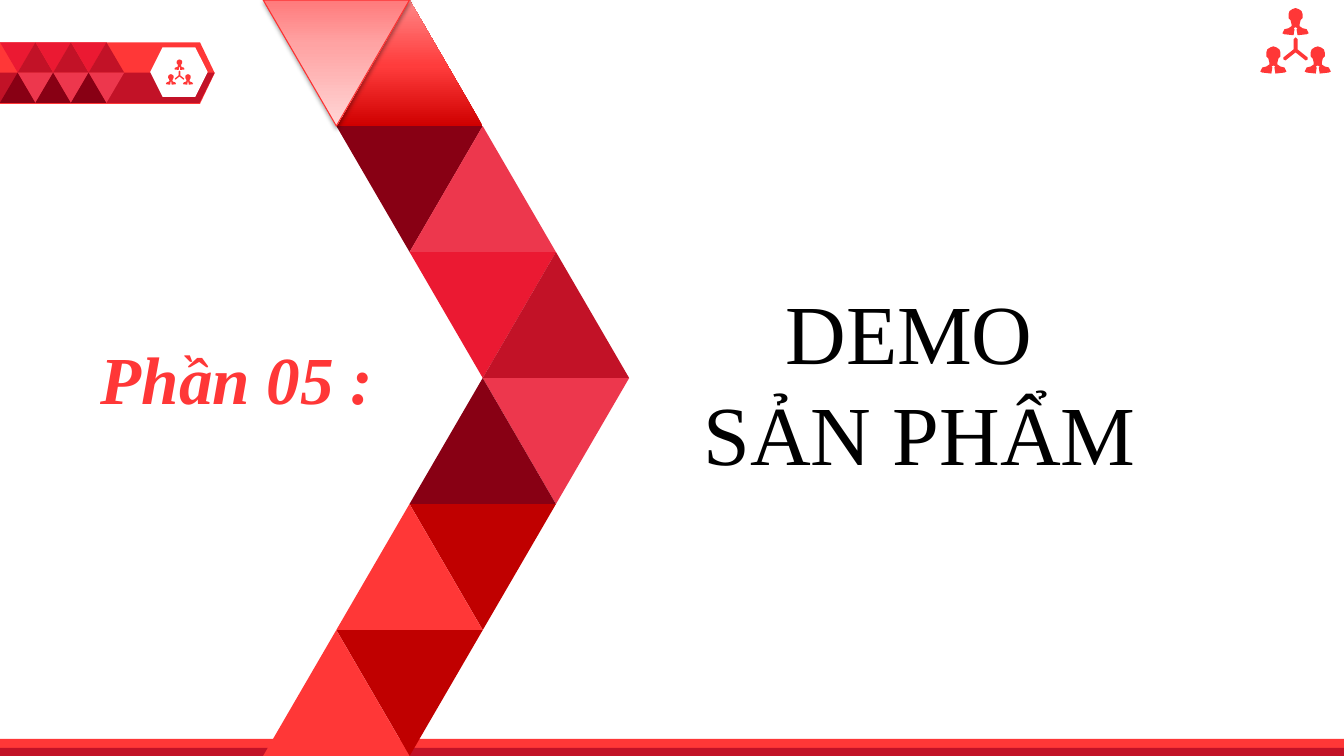
from copy import deepcopy
from dataclasses import dataclass

from pptx import Presentation
from pptx import util as u
from pptx.dml.color import RGBColor
from pptx.enum import shapes, text
from pptx.oxml import parse_xml
from pptx.oxml.ns import nsdecls, qn


@dataclass(frozen=True)
class Theme:
    font: str = "Times New Roman"
    part_size: int = 48
    title_size: int = 60
    black: str = "000000"
    white: str = "FFFFFF"
    coral: str = "FF3737"
    outline: str = "FD3030"
    scarlet: str = "EB1932"
    rose: str = "ED374D"
    crimson: str = "C21227"
    red: str = "C00000"
    maroon: str = "880014"
    deep_fade: tuple = ((0, "CF0000"), (0.48, "FF3C3C"), (1, "FF8787"))
    pale_fade: tuple = ((0, "FF7A7B"), (0.35, "FFA3A3"), (1, "FFD6D6"))


theme = Theme()
kinds = shapes.MSO_SHAPE
deck = Presentation()
deck.slide_width, deck.slide_height = u.Inches(13.33), u.Inches(7.5)
page = deck.slides.add_slide(deck.slide_layouts[5])


def paint(shape, color):
    shape.shadow.inherit = False
    shape.line.fill.background()
    if isinstance(color, str):
        shape.fill.solid()
        shape.fill.fore_color.rgb = RGBColor.from_string(color)
        return
    shape.fill.gradient()
    shape.fill.gradient_angle = 90
    stops = shape._element.spPr.find(".//" + qn("a:gsLst"))
    stops.insert(1, deepcopy(stops[0]))
    for stop, (position, shade) in zip(shape.fill.gradient_stops, color):
        stop.position = position
        stop.color.rgb = RGBColor.from_string(shade)


def add_preset(kind, left, top, width, height, color):
    shape = page.shapes.add_shape(kind, *map(u.Inches, (left, top, width, height)))
    paint(shape, color)
    return shape


badge_top, badge_row, badge_column = 0.42, 0.3, 0.176
badge = add_preset(kinds.PENTAGON, 0, badge_top, 2.13, 0.61, theme.coral)
badge.adjustments[0] = 0.239
corners = [(u.Inches(x), u.Inches(y))
           for x, y in ((0, 0.72), (2.13, 0.72), (1.98, 1.02), (0, 1.02))]
builder = page.shapes.build_freeform(*corners[0])
builder.add_line_segments(corners[1:], close=True)
paint(builder.convert_to_shape(), theme.crimson)
add_preset(kinds.HEXAGON, 1.49, 0.47, 0.57, 0.49, theme.white)

badge_colors = ((theme.scarlet, theme.crimson), (theme.maroon, theme.rose))
for column in range(6):
    for row in range(2):
        tile = add_preset(kinds.ISOSCELES_TRIANGLE, column * badge_column,
                          badge_top + row * badge_row, 2 * badge_column, badge_row,
                          badge_colors[row][column % 2])
        tile.rotation = 0 if (column + row) % 2 else 180

for top, height, color in ((7.33, 0.17, theme.coral), (7.42, 0.08, theme.crimson)):
    add_preset(kinds.RECTANGLE, 0, top, 13.33, height, color)

ribbon_left, ribbon_column, ribbon_row = 2.61, 0.726, 7.5 / 6
ribbon = (
    (1, 0, theme.deep_fade), (1, 1, theme.maroon), (0, 0, theme.pale_fade),
    (2, 1, theme.rose), (2, 2, theme.scarlet), (3, 2, theme.crimson),
    (3, 3, theme.rose), (2, 3, theme.maroon), (2, 4, theme.red),
    (1, 4, theme.coral), (1, 5, theme.red), (0, 5, theme.coral),
)
for column, row, color in ribbon:
    tile = add_preset(kinds.ISOSCELES_TRIANGLE, ribbon_left + column * ribbon_column,
                      row * ribbon_row, 2 * ribbon_column, ribbon_row, color)
    tile.rotation = 0 if (column + row) % 2 else 180
    if color == theme.pale_fade:
        tile.line.color.rgb = RGBColor.from_string(theme.outline)
        tile.line.width = u.Pt(0.75)
        effects = tile._element.spPr.find(qn("a:effectLst"))
        effects.append(parse_xml(
            f'<a:outerShdw {nsdecls("a")} blurRad="40000" dist="20000" dir="5400000" '
            f'rotWithShape="0"><a:srgbClr val="{theme.black}"><a:alpha val="37000"/>'
            '</a:srgbClr></a:outerShdw>'))

person = ((0, 0), (0.03, 0.01), (0.06, 0.03), (0.07, 0.06), (0.07, 0.08), (0.07, 0.1),
          (0.05, 0.12), (0.04, 0.16), (0.04, 0.18), (0.07, 0.2), (0.11, 0.21),
          (0.13, 0.25), (0.11, 0.26), (0.02, 0.27), (0.01, 0.21), (0.02, 0.2), (0, 0.19))
links = ((0, 0.29), (0.02, 0.31), (0.02, 0.41), (0.12, 0.49), (0.12, 0.51),
         (0.1, 0.52), (0, 0.44))
parts = ((person, 0, 0), (person, -0.22, 0.38), (person, 0.22, 0.38), (links, 0, 0))
for center, top, scale in ((1.78, 0.59, 0.385), (12.85, 0.08, 1)):
    builder = None
    for half, shift, drop in parts:
        outline = half + tuple((-x, y) for x, y in half[-2:0:-1])
        points = [(u.Inches(center + scale * (x + shift)), u.Inches(top + scale * (y + drop)))
                  for x, y in outline]
        if builder is None:
            builder = page.shapes.build_freeform(*points[0])
        else:
            builder.move_to(*points[0])
        builder.add_line_segments(points[1:], close=True)
    paint(builder.convert_to_shape(), theme.coral)

part_box = page.shapes.add_textbox(0, 0, 0, 0)
labels = (
    (part_box, (0.9, 3.3, 4.12, 0.9), ("Phần 05 :",), text.PP_ALIGN.LEFT, theme.coral,
     {"size": u.Pt(theme.part_size), "bold": True, "italic": True}),
    (page.shapes.title, (6.42, 2.73, 5.4, 2.12), ("DEMO ", "SẢN PHẨM"),
     text.PP_ALIGN.CENTER, theme.black,
     {"size": u.Pt(theme.title_size), "bold": False, "italic": False}),
)
for box, place, lines, alignment, color, style in labels:
    for name, length in zip(("left", "top", "width", "height"), place):
        setattr(box, name, u.Inches(length))
    frame = box.text_frame
    frame_format = {"word_wrap": True, "auto_size": text.MSO_AUTO_SIZE.NONE,
                    "vertical_anchor": text.MSO_ANCHOR.TOP}
    for name, value in frame_format.items():
        setattr(frame, name, value)
    for number, line in enumerate(lines):
        para = frame.add_paragraph() if number else frame.paragraphs[0]
        para.alignment = alignment
        span = para.add_run()
        span.text = line
        span.font.color.rgb = RGBColor.from_string(color)
        for name, value in {"name": theme.font, **style}.items():
            setattr(span.font, name, value)

deck.save("out.pptx")
